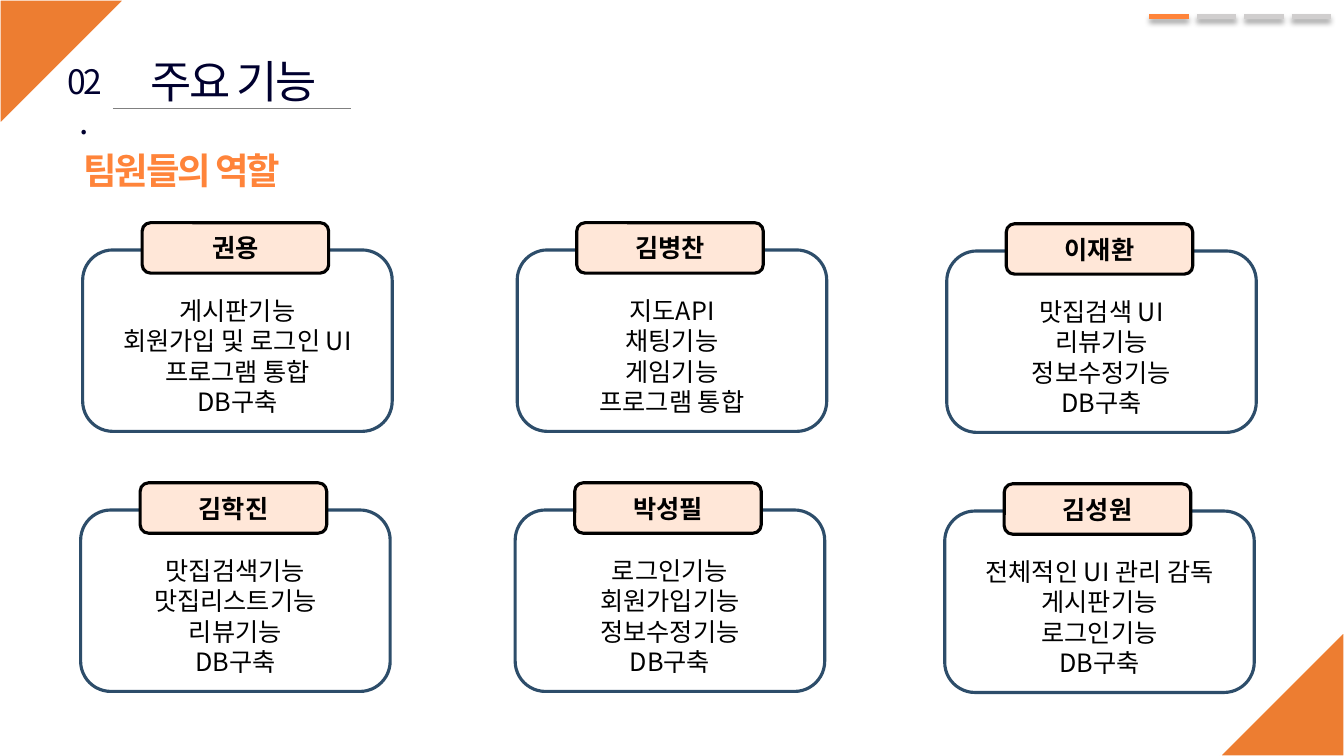
from lxml import etree
from pptx import Presentation
from pptx import util as u
from pptx.dml.color import RGBColor
from pptx.enum import shapes, text
from pptx.oxml import parse_xml
from pptx.oxml.ns import nsdecls, qn

COLORS = {
    "corner": "ED7D31", "white": "FFFFFF", "navy": "00002F", "accent": "FF843A",
    "frame": "2D4D6A", "badge": "FFE7D8", "black": "000000", "rule": "808080",
    "inactive": "D0CECE",
}
SHADOW = (
    '<a:outerShdw blurRad="50800" dist="38100" dir="5400000" algn="t" rotWithShape="0">'
    '<a:srgbClr val="000000"><a:alpha val="40000"/></a:srgbClr></a:outerShdw>'
)
COLUMNS = [(0.82, 2.48), (5.13, 2.48), (9.39, 2.49)]
ROW_SHIFT = (-0.02, 2.58)
MEMBERS = [
    ("권용", ["게시판기능", "회원가입 및 로그인 UI", "프로그램 통합", "DB구축"]),
    ("김병찬", ["지도API", "채팅기능", "게임기능", "프로그램 통합"]),
    ("이재환", ["맛집검색 UI", "리뷰기능", "정보수정기능", "DB구축"]),
    ("김학진", ["맛집검색기능", "맛집리스트기능", "리뷰기능", "DB구축"]),
    ("박성필", ["로그인기능", "회원가입기능", "정보수정기능", "DB구축"]),
    ("김성원", ["전체적인 UI 관리 감독", "게시판기능", "로그인기능", "DB구축"]),
]


class SlideBuilder:
    """Draws styled elements on the current slide."""

    def __init__(self, page, font="Noto Sans CJK KR"):
        self.page = page
        self.font = font

    def color(self, name):
        return RGBColor.from_string(COLORS[name])

    def fill_text(self, frame, lines, size, color, bold=False, centered=True, spacing=None):
        for index, line in enumerate(lines):
            para = frame.paragraphs[0] if index == 0 else frame.add_paragraph()
            para.alignment = text.PP_ALIGN.CENTER if centered else text.PP_ALIGN.LEFT
            span = para.add_run()
            span.text = line
            para.font.size = u.Pt(size)
            para.font.bold = bold
            para.font.name = self.font
            para.font.color.rgb = self.color(color)
            props = span._r.get_or_add_rPr()
            if spacing is not None:
                props.set("spc", str(int(spacing * 100)))
            etree.SubElement(props, qn("a:ea")).set("typeface", self.font)

    def label(self, left, top, width, height, line, size, color, wrap=True, **style):
        box = self.page.shapes.add_textbox(*map(u.Inches, (left, top, width, height)))
        box.text_frame.word_wrap = wrap
        self.fill_text(box.text_frame, [line], size, color, spacing=-1.5, **style)

    def shape(self, kind, left, top, width, height, fill, line, weight):
        shape = self.page.shapes.add_shape(kind, *map(u.Inches, (left, top, width, height)))
        shape.shadow.inherit = False
        shape.fill.solid()
        shape.fill.fore_color.rgb = self.color(fill)
        shape.line.color.rgb = self.color(line)
        shape.line.width = u.Pt(weight)
        return shape

    def corner(self, left, top, rotation):
        triangle = shapes.MSO_SHAPE.RIGHT_TRIANGLE
        self.shape(triangle, left, top, 1.23, 1.23, "corner", "white", 1).rotation = rotation

    def card(self, left, top, width, height, lines, fill, line, bold=False, inset=0.05):
        kind = shapes.MSO_SHAPE.FLOWCHART_ALTERNATE_PROCESS
        shape = self.shape(kind, left, top, width, height, fill, line, 2.25)
        frame = shape.text_frame
        frame.word_wrap = True
        frame.vertical_anchor = text.MSO_ANCHOR.MIDDLE
        frame.margin_top = u.Inches(inset)
        self.fill_text(frame, lines, 18, "black", bold)

    def member(self, left, top, name, duties):
        self.card(left, top, 3.07, 1.8, duties, "white", "frame", inset=0.35)
        self.card(left + 0.59, top - 0.27, 1.85, 0.5, [name], "badge", "black", bold=True)

    def line(self, left, right, y, color, weight, effect=""):
        ends = map(u.Inches, (left, y, right, y))
        line = self.page.shapes.add_connector(shapes.MSO_CONNECTOR.STRAIGHT, *ends)
        line.line.color.rgb = self.color(color)
        line.line.width = u.Pt(weight)
        effects = f'<a:effectLst {nsdecls("a")}>{effect}</a:effectLst>'
        line._element.spPr.append(parse_xml(effects))


def main():
    deck = Presentation()
    deck.slide_width, deck.slide_height = u.Inches(13.33), u.Inches(7.5)
    builder = SlideBuilder(deck.slides.add_slide(deck.slide_layouts[6]))

    builder.corner(0, 0, 90)
    builder.corner(12.1, 6.27, 270)
    builder.line(1.12, 3.48, 1.08, "rule", 0.5)
    builder.label(1.3, 0.48, 2.03, 0.62, "주요 기능", 32, "navy", wrap=False)
    builder.label(0.54, 0.55, 0.58, 0.49, "02.", 24, "navy")
    builder.label(0.73, 1.42, 2.43, 0.53, "팀원들의 역할", 26, "accent", bold=True, centered=False)

    for index, (name, duties) in enumerate(MEMBERS):
        row, column = divmod(index, len(COLUMNS))
        left, top = COLUMNS[column]
        builder.member(left + row * ROW_SHIFT[0], top + row * ROW_SHIFT[1], name, duties)

    for step in range(4):
        left = 11.4 + step * 0.47
        color = "inactive" if step else "accent"
        builder.line(left, left + 0.39, 0.16, color, 3.5, SHADOW)

    deck.save("out.pptx")


if __name__ == "__main__":
    main()
